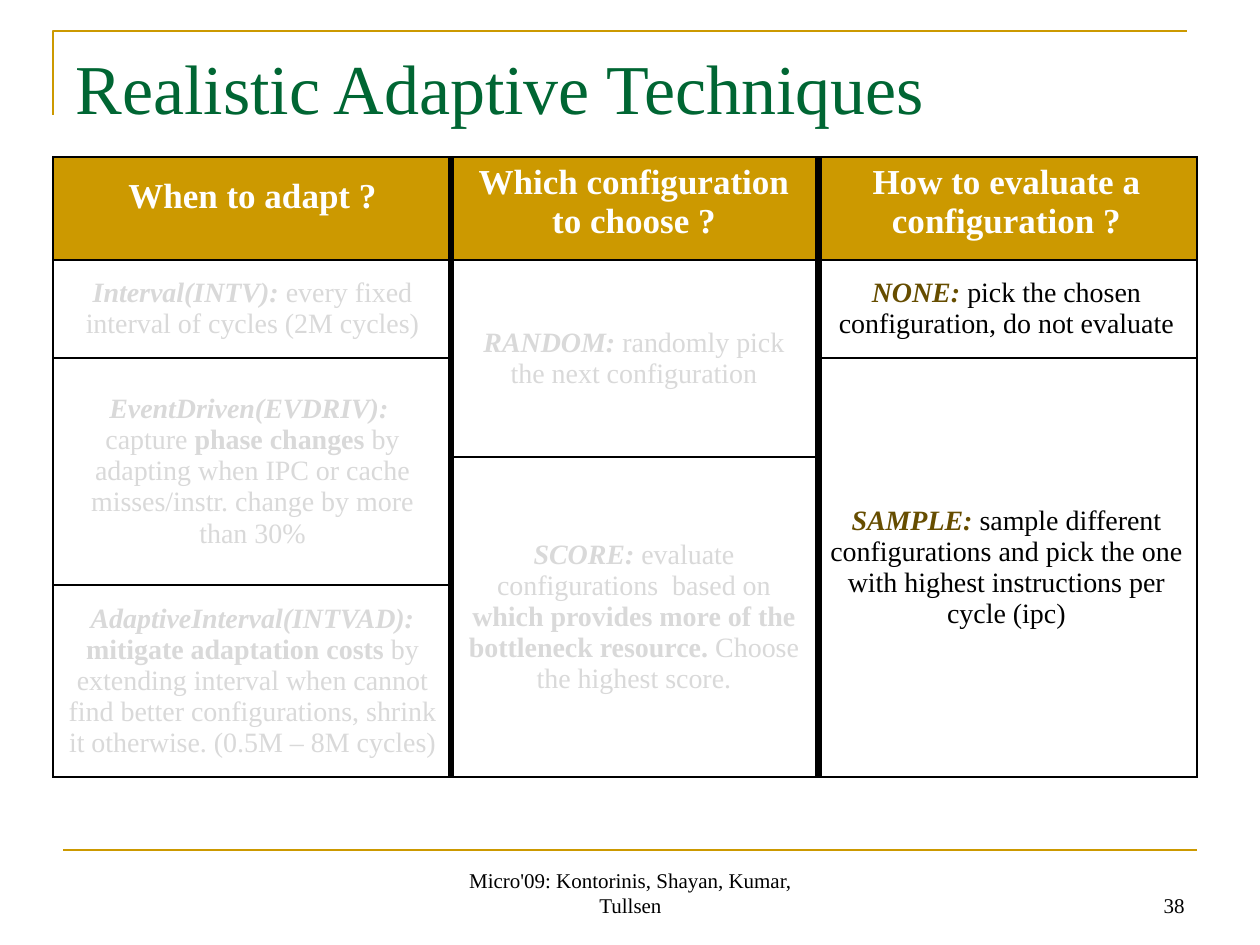
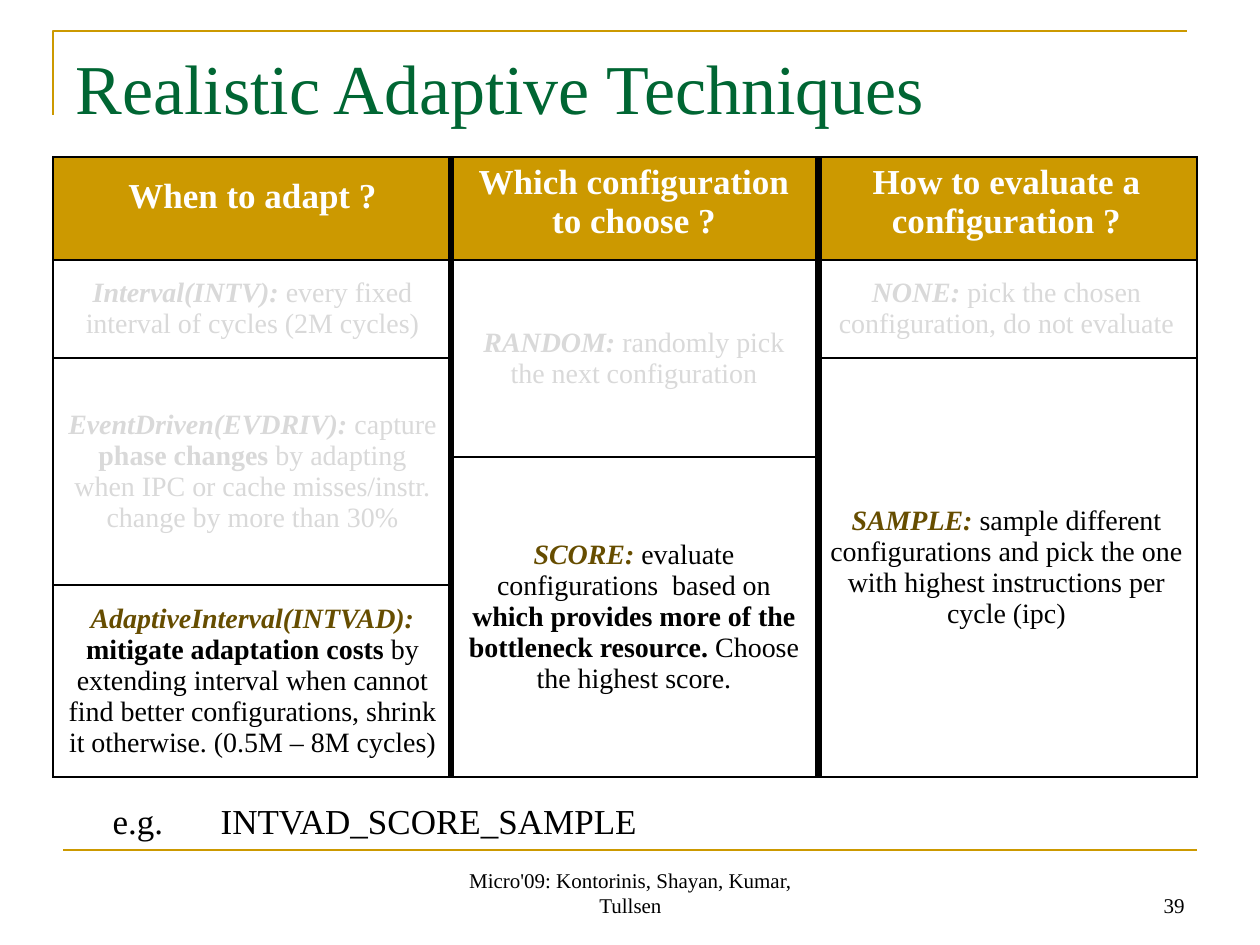
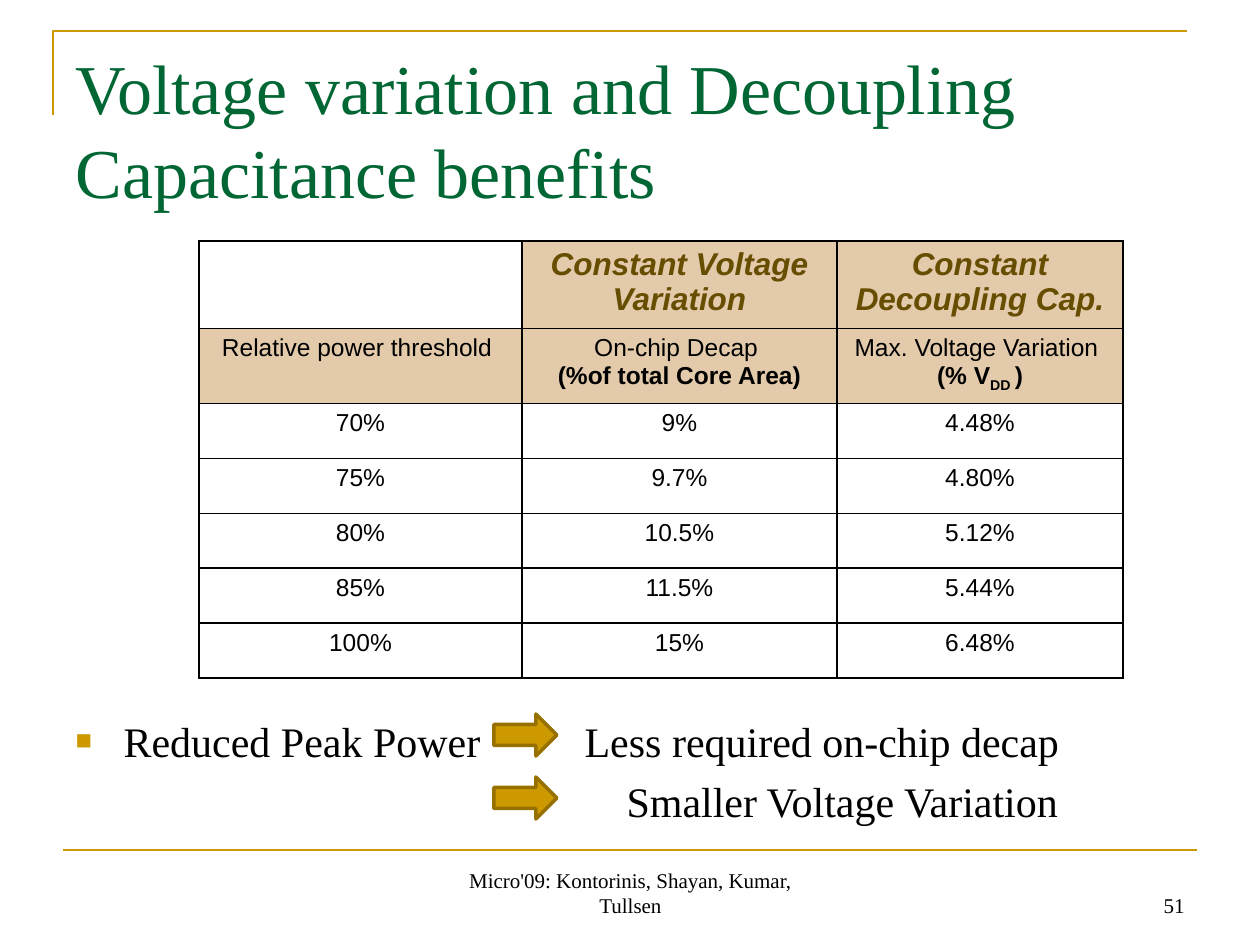
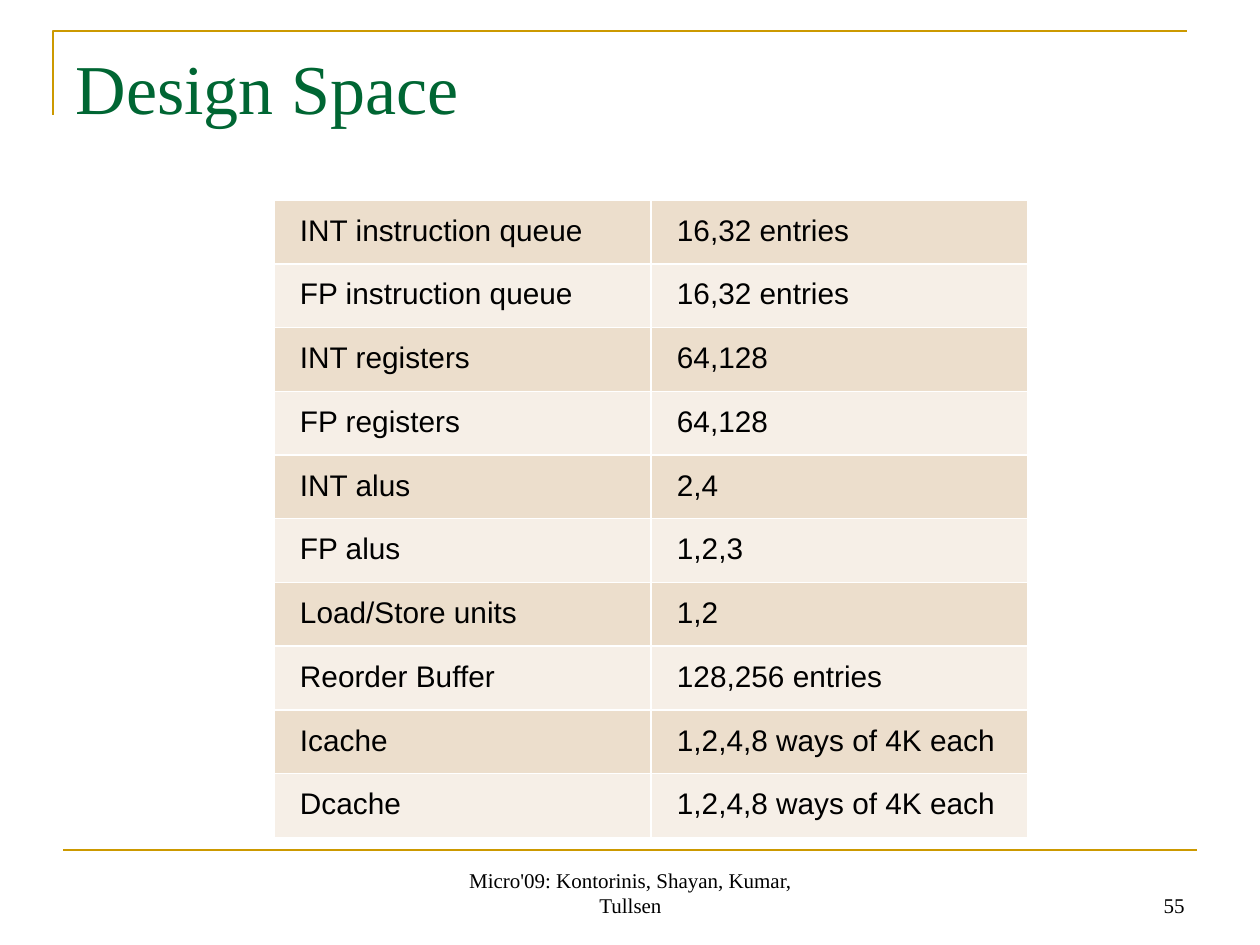
from dataclasses import dataclass, field

import pptx
import pptx.dml.color
import pptx.enum.shapes
import pptx.enum.text
import pptx.oxml
import pptx.oxml.ns
import pptx.util

SCALE = 914400 / 126
GOLD, GREEN, BROWN, BLACK, WHITE = "CC9900", "006633", "664D00", "000000", "FFFFFF"
FADED, TAN, LIGHT_BAND, DARK_BAND, ARROW_EDGE = "D9D9D9", "E2CAAA", "F6EFE7", "ECDECC", "977100"
SERIF, SANS = "Times New Roman", "Arial"
ALIGN = pptx.enum.text.PP_ALIGN
ANCHOR = pptx.enum.text.MSO_ANCHOR
FOOTER = "Micro'09: Kontorinis, Shayan, Kumar, Tullsen"


@dataclass(frozen=True)
class Box:
    left: int
    top: int
    width: int
    height: int

    def emu(self) -> tuple:
        return px(self.left), px(self.top), px(self.width), px(self.height)


@dataclass(frozen=True)
class Words:
    text: str
    size: int
    font: str = SERIF
    color: str = BLACK
    bold: bool = False
    italic: bool = False
    baseline: int = 0


@dataclass(frozen=True)
class CellLook:
    fill: str = WHITE
    align: ALIGN = ALIGN.CENTER
    anchor: ANCHOR = ANCHOR.TOP
    side: int = 13
    top: int = 6
    bottom: int = 6
    border: str = BLACK


@dataclass(frozen=True)
class Technique:
    row: int
    column: int
    last_row: int
    label: str
    details: list = field(default_factory=list)


TITLE_BOX = Box(63, 38, 1134, 158)
FOOTER_BOX = Box(431, 861, 399, 63)
NUMBER_BOX = Box(903, 861, 294, 63)

QUESTIONS = ["When to adapt ?", "Which configuration to choose ?", "How to evaluate a configuration ?"]
TECHNIQUE_COLUMNS = [399, 364, 381]
TECHNIQUE_ROWS = [103, 98, 99, 128, 192]
TECHNIQUES = [
    Technique(1, 0, 1, "Interval(INTV): ", [("every fixed interval of cycles (2M cycles)", False)]),
    Technique(1, 1, 2, "RANDOM: ", [("randomly pick the next configuration", False)]),
    Technique(1, 2, 1, "NONE: ", [("pick the chosen configuration, do not evaluate", False)]),
    Technique(2, 0, 3, "EventDriven(EVDRIV):", [
        (" capture ", False), ("phase changes ", True),
        ("by adapting when IPC or cache misses/instr. change by more than 30%", False)]),
    Technique(2, 2, 4, "SAMPLE: ", [
        ("sample different configurations and pick the one with highest instructions per cycle (ipc)", False)]),
    Technique(3, 1, 4, "SCORE:", [
        (" evaluate configurations  based on ", False),
        ("which provides more of the bottleneck resource.", True), (" Choose the highest score.", False)]),
    Technique(4, 0, 4, "AdaptiveInterval(INTVAD): ", [
        ("mitigate adaptation costs", True),
        (" by extending interval when cannot find better configurations, shrink it otherwise."
         " (0.5M – 8M cycles)", False)]),
]

VOLTAGE_HEADS = ["", "Constant Voltage Variation", "Constant Decoupling Cap."]
VOLTAGE_RESULTS = [
    ("70%", "9%", "4.48%"),
    ("75%", "9.7%", "4.80%"),
    ("80%", "10.5%", "5.12%"),
    ("85%", "11.5%", "5.44%"),
    ("100%", "15%", "6.48%"),
]

DESIGN_SPACE = [
    ("INT instruction queue", "16,32 entries"),
    ("FP instruction queue", "16,32 entries"),
    ("INT registers", "64,128"),
    ("FP registers", "64,128"),
    ("INT alus", "2,4"),
    ("FP alus", "1,2,3"),
    ("Load/Store units", "1,2"),
    ("Reorder Buffer", "128,256 entries"),
    ("Icache", "1,2,4,8 ways of 4K each"),
    ("Dcache", "1,2,4,8 ways of 4K each"),
]


def px(length: int) -> int:
    return round(length * SCALE)


def rgb(color: str) -> pptx.dml.color.RGBColor:
    return pptx.dml.color.RGBColor.from_string(color)


def xml(body: str):
    tag, rest = body[1:].split(" ", 1) if " " in body.split(">")[0] else body[1:].split(">", 1)
    joint = " " if " " in body.split(">")[0] else ">"
    return pptx.oxml.parse_xml(f"<{tag} {pptx.oxml.ns.nsdecls('a')}{joint}{rest}")


def write(paragraph, words: list[Words], align: ALIGN = ALIGN.LEFT) -> None:
    paragraph.alignment = align
    for part in words:
        run = paragraph.add_run()
        run.text = part.text
        run.font.size = pptx.util.Pt(part.size)
        run.font.name = part.font
        run.font.bold = part.bold
        run.font.italic = part.italic
        run.font.color.rgb = rgb(part.color)
        if part.baseline:
            run.font._element.set("baseline", str(part.baseline * 1000))


def place(shape, box: Box) -> None:
    shape.left, shape.top, shape.width, shape.height = box.emu()


def add_line(slide, start: tuple, end: tuple, color: str, weight: float) -> None:
    line = slide.shapes.add_connector(
        pptx.enum.shapes.MSO_CONNECTOR.STRAIGHT, px(start[0]), px(start[1]), px(end[0]), px(end[1]))
    line.line.color.rgb = rgb(color)
    line.line.width = pptx.util.Pt(weight)
    line._element.spPr.append(xml("<a:effectLst></a:effectLst>"))


def add_label(slide, box: Box, text: str, align: ALIGN) -> None:
    label = slide.shapes.add_textbox(*box.emu()).text_frame
    label.word_wrap = True
    label.vertical_anchor = ANCHOR.BOTTOM
    write(label.paragraphs[0], [Words(text, 12)], align)


def start_slide(deck, title: str, number: int, has_body: bool = False):
    slide = deck.slides.add_slide(deck.slide_layouts[1 if has_body else 5])
    corner = slide.shapes.build_freeform(53, 115, scale=SCALE)
    corner.add_line_segments([(53, 31), (1187, 31)], close=False)
    bracket = corner.convert_to_shape()
    bracket.fill.background()
    bracket.line.color.rgb = rgb(GOLD)
    bracket.line.width = pptx.util.Pt(1.5)
    bracket.shadow.inherit = False
    add_line(slide, (63, 850), (1197, 850), GOLD, 1.5)
    heading = slide.shapes.title
    place(heading, TITLE_BOX)
    heading.text_frame.vertical_anchor = ANCHOR.TOP
    heading.text_frame.auto_size = pptx.enum.text.MSO_AUTO_SIZE.NONE
    write(heading.text_frame.paragraphs[0], [Words(title, 40, color=GREEN)])
    add_label(slide, FOOTER_BOX, FOOTER, ALIGN.CENTER)
    add_label(slide, NUMBER_BOX, str(number), ALIGN.RIGHT)
    return slide


def open_body(slide, box: Box):
    body = slide.placeholders[1]
    place(body, box)
    body.text_frame.auto_size = pptx.enum.text.MSO_AUTO_SIZE.NONE
    body.text_frame.vertical_anchor = ANCHOR.TOP
    body.text_frame.margin_top = px(12)
    return body.text_frame


def set_list_format(paragraph, margin: int, indent: int, marks: list[str], before: int = 0) -> None:
    properties = paragraph._p.get_or_add_pPr()
    properties.set("marL", str(px(margin)))
    properties.set("indent", str(px(indent)))
    for mark in marks:
        properties.append(xml(mark))
    paragraph.space_before = pptx.util.Pt(before)


def add_grid(slide, left: int, top: int, columns: list[int], rows: list[int]):
    box = Box(left, top, sum(columns), sum(rows))
    grid = slide.shapes.add_table(len(rows), len(columns), *box.emu()).table
    grid.first_row = grid.horz_banding = False
    for column, width in zip(grid.columns, columns):
        column.width = px(width)
    for row, height in zip(grid.rows, rows):
        row.height = px(height)
    return grid


def style_cell(cell, look: CellLook) -> None:
    properties = cell._tc.get_or_add_tcPr()
    for side in "LRTB":
        properties.append(xml(
            f'<a:ln{side} w="12700"><a:solidFill><a:srgbClr val="{look.border}"/></a:solidFill></a:ln{side}>'))
    cell.fill.solid()
    cell.fill.fore_color.rgb = rgb(look.fill)
    cell.vertical_anchor = look.anchor
    cell.margin_left = cell.margin_right = px(look.side)
    cell.margin_top, cell.margin_bottom = px(look.top), px(look.bottom)


def fill_cell(cell, look: CellLook, *lines: list[Words]) -> None:
    style_cell(cell, look)
    for index, words in enumerate(lines):
        paragraph = cell.text_frame.paragraphs[0] if index == 0 else cell.text_frame.add_paragraph()
        write(paragraph, words, look.align)


def add_techniques(deck, number: int, active: set[str], label_gap: str = "", example: str = "") -> None:
    slide = start_slide(deck, "Realistic Adaptive Techniques", number, bool(example))
    grid = add_grid(slide, 53, 157, TECHNIQUE_COLUMNS, TECHNIQUE_ROWS)
    for column, question in enumerate(QUESTIONS):
        look = CellLook(GOLD, top=6 if column else 20)
        fill_cell(grid.cell(0, column), look, [Words(question, 20, color=WHITE, bold=True)])
    look = CellLook(anchor=ANCHOR.MIDDLE)
    for item in TECHNIQUES:
        shown = item.label.strip(": ") in active
        label = item.label + (label_gap if "EVDRIV" in item.label else "")
        words = [Words(label, 16, color=BROWN if shown else FADED, bold=True, italic=True)]
        words += [Words(text, 16, color=BLACK if shown else FADED, bold=bold) for text, bold in item.details]
        origin = grid.cell(item.row, item.column)
        if item.last_row > item.row:
            origin.merge(grid.cell(item.last_row, item.column))
            for row in range(item.row + 1, item.last_row + 1):
                style_cell(grid.cell(row, item.column), look)
        fill_cell(origin, look, words)
    if example:
        paragraph = open_body(slide, Box(53, 787, 1134, 95)).paragraphs[0]
        paragraph.level = 1
        set_list_format(paragraph, 92, -45, ["<a:buNone></a:buNone>"])
        write(paragraph, [Words(f"e.g.\t{example}", 20)])
    for divider in (451, 819):
        add_line(slide, (divider, 157), (divider, 777), BLACK, 3)


def add_voltage(deck) -> None:
    slide = start_slide(deck, "Voltage variation and Decoupling Capacitance benefits", 51, True)
    body = open_body(slide, Box(63, 703, 1166, 105))
    decap = body.paragraphs[0]
    set_list_format(decap, 48, -48, [
        f'<a:buClr><a:srgbClr val="{GOLD}"/></a:buClr>',
        '<a:buSzPct val="65000"></a:buSzPct>',
        '<a:buChar char="■"></a:buChar>',
        f'<a:tabLst><a:tab pos="{px(509)}" algn="l"/></a:tabLst>',
    ])
    write(decap, [Words("Reduced Peak Power\tLess required on-chip decap", 24)])
    variation = body.add_paragraph()
    set_list_format(variation, 551, 0, ["<a:buNone></a:buNone>"], before=6)
    write(variation, [Words("Smaller Voltage Variation", 24)])

    grid = add_grid(slide, 199, 241, [323, 315, 286], [83, 72] + [55] * len(VOLTAGE_RESULTS))
    for column, head in enumerate(VOLTAGE_HEADS):
        words = [Words(head, 18, SANS, BROWN, True, True)] if head else []
        fill_cell(grid.cell(0, column), CellLook(TAN if head else WHITE), words)
    measures = [
        [[Words("Relative power threshold ", 14, SANS)]],
        [[Words("On-chip Decap ", 14, SANS)], [Words("(%of total Core Area)", 14, SANS, bold=True)]],
        [[Words("Max. Voltage Variation ", 14, SANS)],
         [Words("(% V", 14, SANS, bold=True), Words("DD ", 14, SANS, bold=True, baseline=-25),
          Words(")", 14, SANS, bold=True)]],
    ]
    for column, lines in enumerate(measures):
        fill_cell(grid.cell(1, column), CellLook(TAN), *lines)
    for row, results in enumerate(VOLTAGE_RESULTS, 2):
        for column, result in enumerate(results):
            fill_cell(grid.cell(row, column), CellLook(), [Words(result, 14, SANS)])

    for top in (714, 777):
        arrow = slide.shapes.add_shape(
            pptx.enum.shapes.MSO_SHAPE.RIGHT_ARROW, *Box(494, top, 63, 42).emu())
        arrow.shadow.inherit = False
        arrow.fill.solid()
        arrow.fill.fore_color.rgb = rgb(GOLD)
        arrow.line.color.rgb = rgb(ARROW_EDGE)
        arrow.line.width = pptx.util.Pt(2)


def add_design_space(deck) -> None:
    slide = start_slide(deck, "Design Space", 55)
    grid = add_grid(slide, 274, 200, [377, 377], [62] * len(DESIGN_SPACE))
    for row, entry in enumerate(DESIGN_SPACE):
        look = CellLook(LIGHT_BAND if row % 2 else DARK_BAND, ALIGN.LEFT, side=26, top=14, bottom=14, border=WHITE)
        for column, text in enumerate(entry):
            fill_cell(grid.cell(row, column), look, [Words(text, 17, SANS)])


def main() -> None:
    deck = pptx.Presentation()
    deck.slide_width, deck.slide_height = px(1260), px(945)
    add_techniques(deck, 38, {"NONE", "SAMPLE"}, label_gap=" ")
    add_techniques(deck, 39, {"AdaptiveInterval(INTVAD)", "SCORE", "SAMPLE"}, example="INTVAD_SCORE_SAMPLE")
    add_voltage(deck)
    add_design_space(deck)
    deck.save("out.pptx")


if __name__ == "__main__":
    main()
